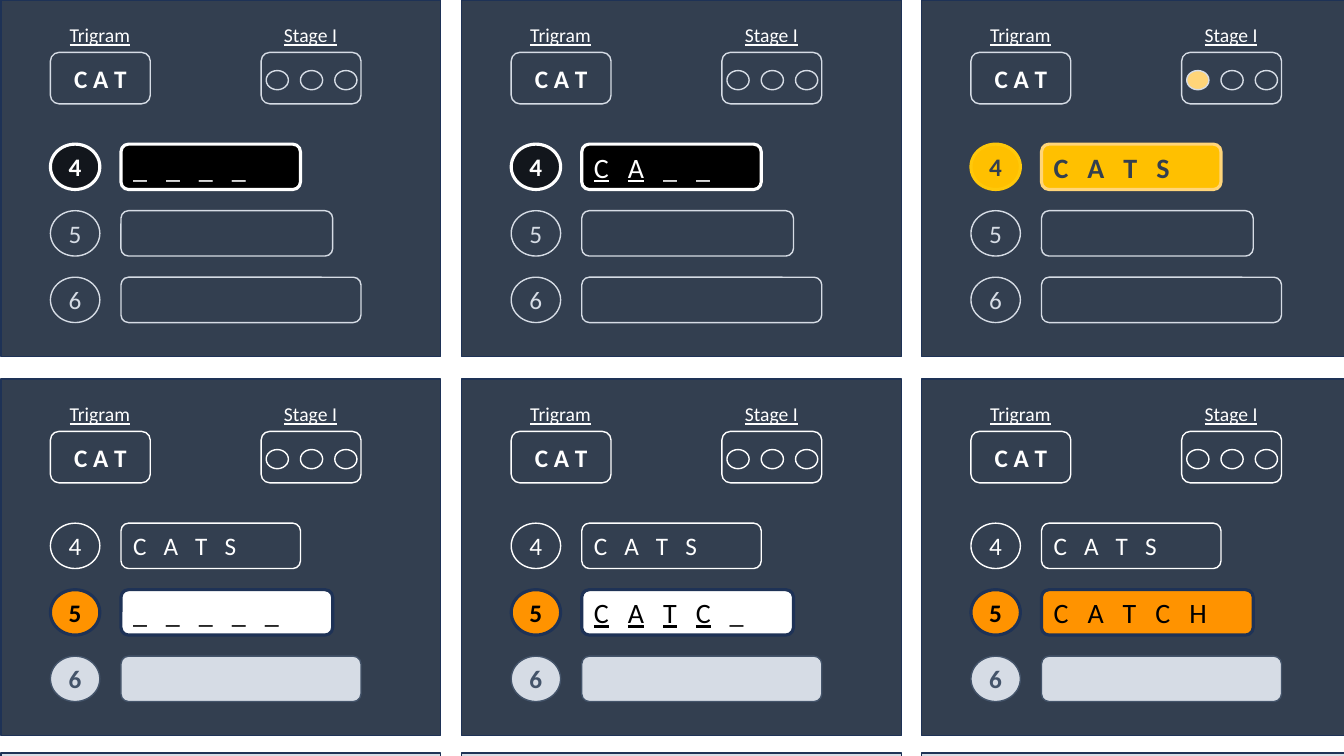
"""Build a slide of six word-game screens, each growing the trigram CAT."""
import dataclasses
import itertools
import typing

import lxml.etree
import pptx
import pptx.dml.color
import pptx.enum.shapes
import pptx.enum.text
import pptx.oxml.ns
import pptx.util

Inches = pptx.util.Inches
Color = pptx.dml.color.RGBColor
Shape = pptx.enum.shapes.MSO_SHAPE
Align = pptx.enum.text.PP_ALIGN

WHITE = Color(0xFF, 0xFF, 0xFF)
BLACK = Color(0x00, 0x00, 0x00)
SLATE = Color(0x33, 0x3F, 0x50)
NAVY = Color(0x1E, 0x32, 0x56)
PALE = Color(0xD6, 0xDC, 0xE5)
STEEL = Color(0x44, 0x54, 0x6A)
ORANGE = Color(0xFF, 0x93, 0x00)
GOLD = Color(0xFF, 0xC0, 0x00)
AMBER = Color(0xFF, 0xC8, 0x0A)
SAND = Color(0xFF, 0xD5, 0x79)

PANEL_LEFTS = (0.01, 4.58, 9.14)
PANEL_TOPS = (0, 3.76)
NEXT_PANEL_TOP = 7.47
ROW_TOP, ROW_PITCH = 1.43, 0.66
DOT_LEFT, DOT_PITCH = 2.63, 0.34
BOX_WIDTHS = {4: 1.78, 5: 2.1, 6: 2.38}


@dataclasses.dataclass
class RowLook:
    """Colours and weights of one numbered word row."""
    badge_fill: typing.Any
    badge_line: typing.Any
    badge_ink: typing.Any
    box_fill: typing.Any
    box_line: typing.Any
    box_ink: typing.Any
    line_width: float = 2.25
    badge_bold: bool = True
    box_bold: bool = False
    box_size: int = 20
    badge_opacity: int = 100


IDLE = RowLook(None, PALE, PALE, None, PALE, PALE, 1, False)
DONE = RowLook(None, WHITE, WHITE, None, WHITE, WHITE, 1, False, False, 18)
LOCKED = RowLook(PALE, STEEL, STEEL, PALE, STEEL, STEEL, 1)
DARK_ENTRY = RowLook(BLACK, WHITE, WHITE, BLACK, WHITE, WHITE, badge_opacity=64)
GOLD_WIN = RowLook(GOLD, AMBER, SLATE, GOLD, SAND, SLATE, box_bold=True)
LIGHT_ENTRY = RowLook(ORANGE, NAVY, BLACK, WHITE, NAVY, BLACK)
ORANGE_WIN = RowLook(ORANGE, NAVY, BLACK, ORANGE, NAVY, BLACK)

SCREENS = (
    (
        ((DARK_ENTRY, "____"), (IDLE, ""), (IDLE, "")),
        ((DARK_ENTRY, "CA__"), (IDLE, ""), (IDLE, "")),
        ((GOLD_WIN, "CATS"), (IDLE, ""), (IDLE, "")),
    ),
    (
        ((DONE, "CATS"), (LIGHT_ENTRY, "_____"), (LOCKED, "")),
        ((DONE, "CATS"), (LIGHT_ENTRY, "CATC_"), (LOCKED, "")),
        ((DONE, "CATS"), (ORANGE_WIN, "CATCH"), (LOCKED, "")),
    ),
)


class GameSlide:
    """Hold the font, the slide and the corner of the current screen."""

    def __init__(self, slide, font="Calibri"):
        self.slide = slide
        self.font = font
        self.left = self.top = 0

    def place(self, left, top, width, height):
        return (Inches(self.left + left), Inches(self.top + top),
                Inches(width), Inches(height))

    def shape(self, kind, place, fill, line, line_width=1.0, opacity=100):
        shape = self.slide.shapes.add_shape(kind, *self.place(*place))
        shape.shadow.inherit = False
        shape.line.color.rgb = line
        shape.line.width = pptx.util.Pt(line_width)
        if fill is None:
            shape.fill.background()
        else:
            shape.fill.solid()
            shape.fill.fore_color.rgb = fill
        if opacity < 100:
            color = shape.element.find(".//" + pptx.oxml.ns.qn("a:srgbClr"))
            alpha = lxml.etree.SubElement(color, pptx.oxml.ns.qn("a:alpha"))
            alpha.set("val", str(opacity * 1000))
        return shape

    def add_text(self, shape, runs, size, color, align=Align.CENTER, bold=False):
        shape.text_frame.word_wrap = True
        paragraph = shape.text_frame.paragraphs[0]
        paragraph.alignment = align
        for text, underline in runs:
            run = paragraph.add_run()
            run.text = text
            run.font.name = self.font
            run.font.size = pptx.util.Pt(size)
            run.font.color.rgb = color
            run.font.bold = bold
            run.font.underline = underline

    def label(self, text, left):
        box = self.slide.shapes.add_textbox(*self.place(left, 0.18, 1, 0.34))
        self.add_text(box, [(text, True)], 14, WHITE)

    def panel(self, left, top, fill):
        self.left, self.top = left, top
        self.shape(Shape.RECTANGLE, (0, 0, 4.36, 3.54), fill, NAVY)

    def header(self, line, first_dot):
        trigram = self.shape(Shape.ROUNDED_RECTANGLE, (0.49, 0.52, 0.99, 0.51), None, line)
        self.add_text(trigram, [("C A T", False)], 18, WHITE, bold=True)
        self.shape(Shape.ROUNDED_RECTANGLE, (2.58, 0.52, 0.99, 0.51), None, line)
        self.label("Trigram", 0.48)
        self.label("Stage I", 2.57)
        for index, fill in enumerate((first_dot, None, None)):
            left = DOT_LEFT + index * DOT_PITCH
            self.shape(Shape.OVAL, (left, 0.7, 0.22, 0.19), fill, line)

    def word_row(self, number, look, word):
        top = ROW_TOP + (number - 4) * ROW_PITCH
        badge = self.shape(Shape.OVAL, (0.49, top, 0.49, 0.45), look.badge_fill,
                           look.badge_line, look.line_width, look.badge_opacity)
        self.add_text(badge, [(str(number), False)], 18, look.badge_ink, bold=look.badge_bold)
        box = self.shape(Shape.ROUNDED_RECTANGLE, (1.19, top, BOX_WIDTHS[number], 0.45),
                         look.box_fill, look.box_line, look.line_width)
        if word:
            spaced = "   ".join(word)
            runs = [(spaced, False)]
            if "_" in word:
                runs = [("".join(part), typed)
                        for typed, part in itertools.groupby(spaced, str.isalpha)]
            self.add_text(box, runs, look.box_size, look.box_ink, Align.LEFT, look.box_bold)


def main():
    presentation = pptx.Presentation()
    presentation.slide_width = Inches(13.33)
    presentation.slide_height = Inches(7.5)
    game = GameSlide(presentation.slides.add_slide(presentation.slide_layouts[6]))
    for top, screens, line in zip(PANEL_TOPS, SCREENS, (PALE, WHITE)):
        for left, rows in zip(PANEL_LEFTS, screens):
            game.panel(left, top, SLATE)
            game.header(line, SAND if rows[0][0] is GOLD_WIN else None)
            for number, (look, word) in enumerate(rows, 4):
                game.word_row(number, look, word)
    for left in PANEL_LEFTS:
        game.panel(left, NEXT_PANEL_TOP, PALE)
    presentation.save("out.pptx")


if __name__ == "__main__":
    main()
